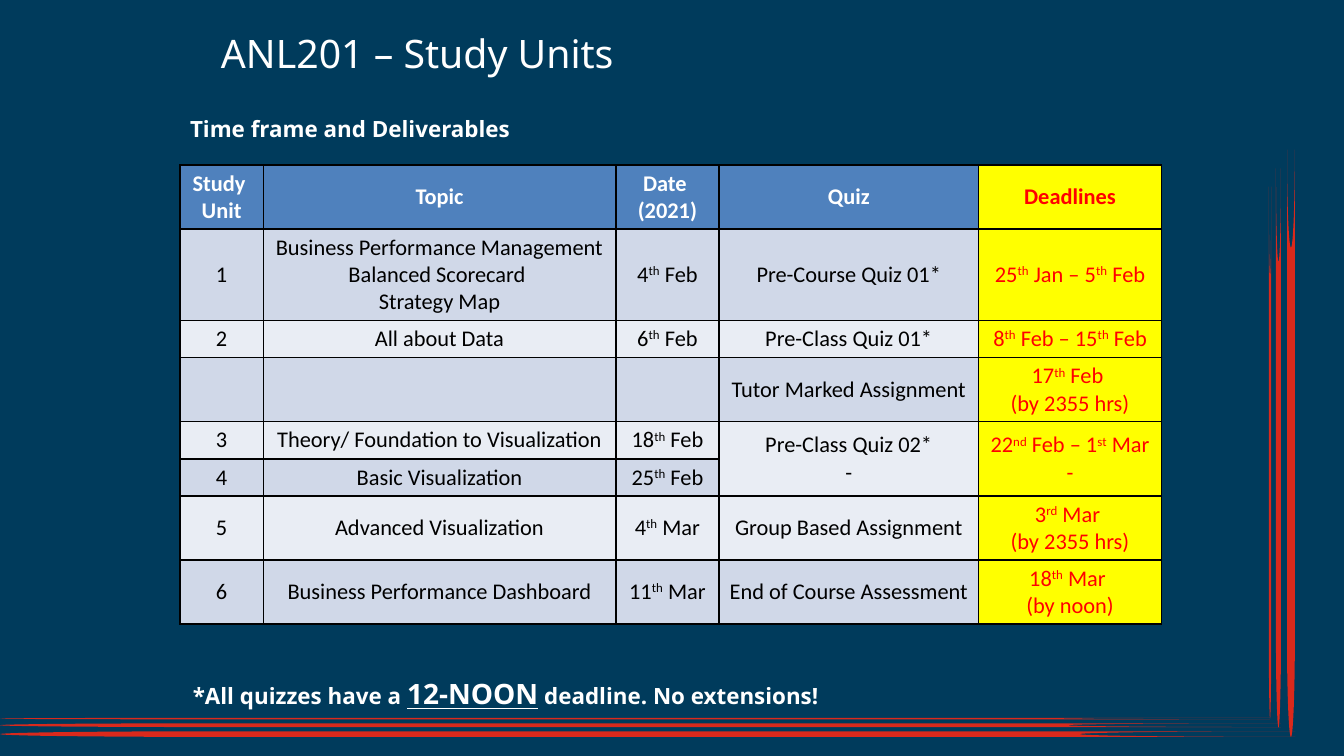
from lxml.etree import SubElement
from pptx import Presentation
from pptx.dml.color import RGBColor
from pptx.enum.shapes import MSO_SHAPE as Shape
from pptx.enum.text import MSO_ANCHOR as Anchor, PP_ALIGN as Align
from pptx.oxml.ns import qn
from pptx.util import Pt

COLORS = {
    "navy": "003B5C", "scarlet": "DA291C", "white": "FFFFFF", "black": "000000",
    "blue": "4F81BD", "dark band": "D0D8E8", "light band": "E9EDF4",
    "yellow": "FFFF00", "red": "FF0000",
}
SLIDE_WIDTH, SLIDE_HEIGHT = 720, 405
MARGINS = {"margin_left": 5.4, "margin_right": 5.4, "margin_top": 2.7, "margin_bottom": 2.7}

HEADING = {"name": "Noto Sans", "size": Pt(21), "color": "white"}
STRONG = {"name": "Noto Sans", "size": Pt(12), "color": "white", "bold": True}
KEYWORD = {**STRONG, "size": Pt(15), "underline": True}
TEXTS = [
    ((113, 13, 446, 36), [("ANL201 – Study Units", HEADING)]),
    ((96.4, 59, 446, 18), [("Time frame and Deliverables", STRONG)]),
    ((97.9, 360, 446, 18), [
        ("*All quizzes have a ", STRONG),
        ("12-NOON", KEYWORD),
        (" deadline. No extensions!", STRONG),
    ]),
]

HORIZONTAL_BARS = [(384.6, 680.4, 0.8), (387.5, 686.2, 2), (391.8, 694, 3)]
VERTICAL_BARS = [(680.4, 242.5, 285, 1.3), (684.9, 240, 299.5, 2.7), (691.6, 237.5, 314.6, 4.2)]

TABLE_LEFT, TABLE_TOP = 96.4, 88.4
COLUMN_WIDTHS = [44.7, 188.8, 55.4, 139, 98]
ROW_HEIGHTS = [34, 49, 20, 34, 20, 20, 34, 34]
DEADLINE_COLUMN = 4
MERGED_ROWS, MERGED_COLUMNS = (4, 5), (3, 4)
SUPERSCRIPT = "^"
SCHEDULE = [
    ["Study \nUnit", "Topic", "Date \n(2021)", "Quiz", "Deadlines"],
    ["1", "Business Performance Management\nBalanced Scorecard \nStrategy Map",
     "4^th^ Feb", "Pre-Course Quiz 01*", "25^th^ Jan – 5^th^ Feb"],
    ["2", "All about Data", "6^th^ Feb", "Pre-Class Quiz 01*", "8^th^ Feb – 15^th^ Feb"],
    ["", "", "", "Tutor Marked Assignment", "17^th^ Feb \n(by 2355 hrs)"],
    ["3", "Theory/ Foundation to Visualization", "18^th^ Feb",
     "Pre-Class Quiz 02*\n-", "22^nd^ Feb – 1^st^ Mar\n-"],
    ["4", "Basic Visualization", "25^th^ Feb", "", ""],
    ["5", "Advanced Visualization", "4^th^ Mar", "Group Based Assignment",
     "3^rd^ Mar \n(by 2355 hrs)"],
    ["6", "Business Performance Dashboard", "11^th^ Mar", "End of Course Assessment",
     "18^th^ Mar \n(by noon)"],
]


def rgb(name):
    return RGBColor.from_string(COLORS[name])


def set_font(font, style):
    for key, value in style.items():
        if key == "color":
            font.color.rgb = rgb(value)
        else:
            setattr(font, key, value)


def set_margins(target):
    for side, value in MARGINS.items():
        setattr(target, side, Pt(value))


def add_block(page, kind, bounds, color, rotation=0):
    block = page.shapes.add_shape(kind, *map(Pt, bounds))
    block.shadow.inherit = False
    block.fill.solid()
    block.fill.fore_color.rgb = rgb(color)
    block.line.fill.background()
    block.rotation = rotation


def add_background(page):
    add_block(page, Shape.RECTANGLE, (0, 0, SLIDE_WIDTH, SLIDE_HEIGHT), "navy")
    for top, length, thickness in HORIZONTAL_BARS:
        add_block(page, Shape.FLOWCHART_STORED_DATA, (0, top, length, thickness), "scarlet")
    for center_x, center_y, length, thickness in VERTICAL_BARS:
        bounds = (center_x - length / 2, center_y - thickness / 2, length, thickness)
        add_block(page, Shape.FLOWCHART_STORED_DATA, bounds, "scarlet", 270)


def add_text(page, bounds, spans):
    frame = page.shapes.add_textbox(*map(Pt, bounds)).text_frame
    frame.word_wrap = True
    set_margins(frame)
    for text, style in spans:
        span = frame.paragraphs[0].add_run()
        span.text = text
        set_font(span.font, style)


def add_borders(cell):
    properties = cell._tc.get_or_add_tcPr()
    for position, side in enumerate(("lnL", "lnR", "lnT", "lnB")):
        border = properties.makeelement(qn(f"a:{side}"), {"w": str(Pt(1))})
        fill = SubElement(border, qn("a:solidFill"))
        SubElement(fill, qn("a:srgbClr"), val=COLORS["black"])
        properties.insert(position, border)


def cell_colors(row, column):
    if column == DEADLINE_COLUMN:
        return "yellow", "red"
    if row == 0:
        return "blue", "white"
    return ("dark band" if row % 2 else "light band"), "black"


def fill_cell(cell, text, row, column):
    background, color = cell_colors(row, column)
    style = {"name": "Calibri", "size": Pt(12), "bold": row == 0, "color": color}
    cell.fill.solid()
    cell.fill.fore_color.rgb = rgb(background)
    cell.vertical_anchor = Anchor.MIDDLE
    set_margins(cell)
    add_borders(cell)
    frame = cell.text_frame
    for index, line in enumerate(text.split("\n")):
        para = frame.add_paragraph() if index else frame.paragraphs[0]
        para.alignment = Align.CENTER
        set_font(para.font, style)
        for part, words in enumerate(line.split(SUPERSCRIPT)):
            if words:
                span = para.add_run()
                span.text = words
                set_font(span.font, style)
                if part % 2:
                    span.font._element.set("baseline", "30000")


def add_schedule(page):
    bounds = (TABLE_LEFT, TABLE_TOP, sum(COLUMN_WIDTHS), sum(ROW_HEIGHTS))
    table = page.shapes.add_table(
        len(ROW_HEIGHTS), len(COLUMN_WIDTHS), *map(Pt, bounds)).table
    for column, width in zip(table.columns, COLUMN_WIDTHS):
        column.width = Pt(width)
    for row, height in zip(table.rows, ROW_HEIGHTS):
        row.height = Pt(height)
    for row, texts in enumerate(SCHEDULE):
        for column, text in enumerate(texts):
            fill_cell(table.cell(row, column), text, row, column)
    first, last = MERGED_ROWS
    for column in MERGED_COLUMNS:
        table.cell(first, column).merge(table.cell(last, column))


def main():
    deck = Presentation()
    deck.slide_width, deck.slide_height = Pt(SLIDE_WIDTH), Pt(SLIDE_HEIGHT)
    page = deck.slides.add_slide(deck.slide_layouts[6])
    add_background(page)
    for bounds, spans in TEXTS:
        add_text(page, bounds, spans)
    add_schedule(page)
    deck.save("out.pptx")


if __name__ == "__main__":
    main()
